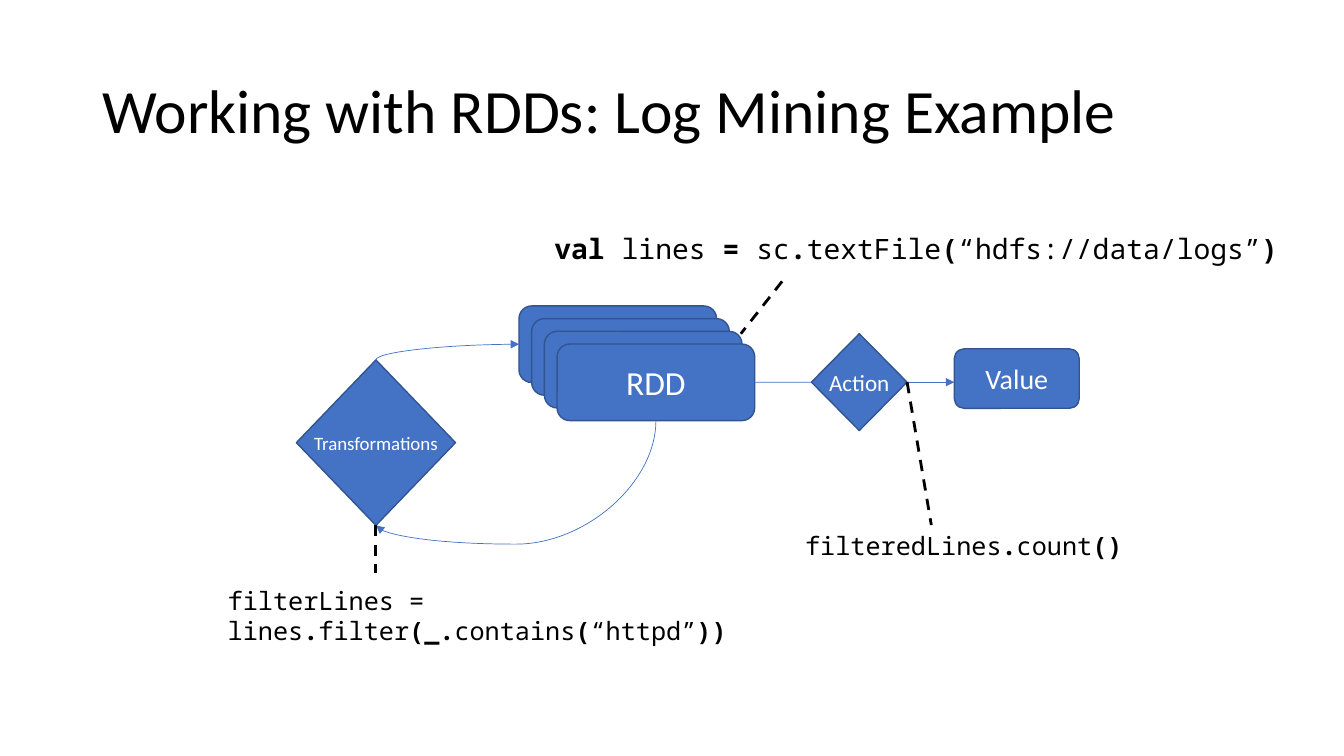
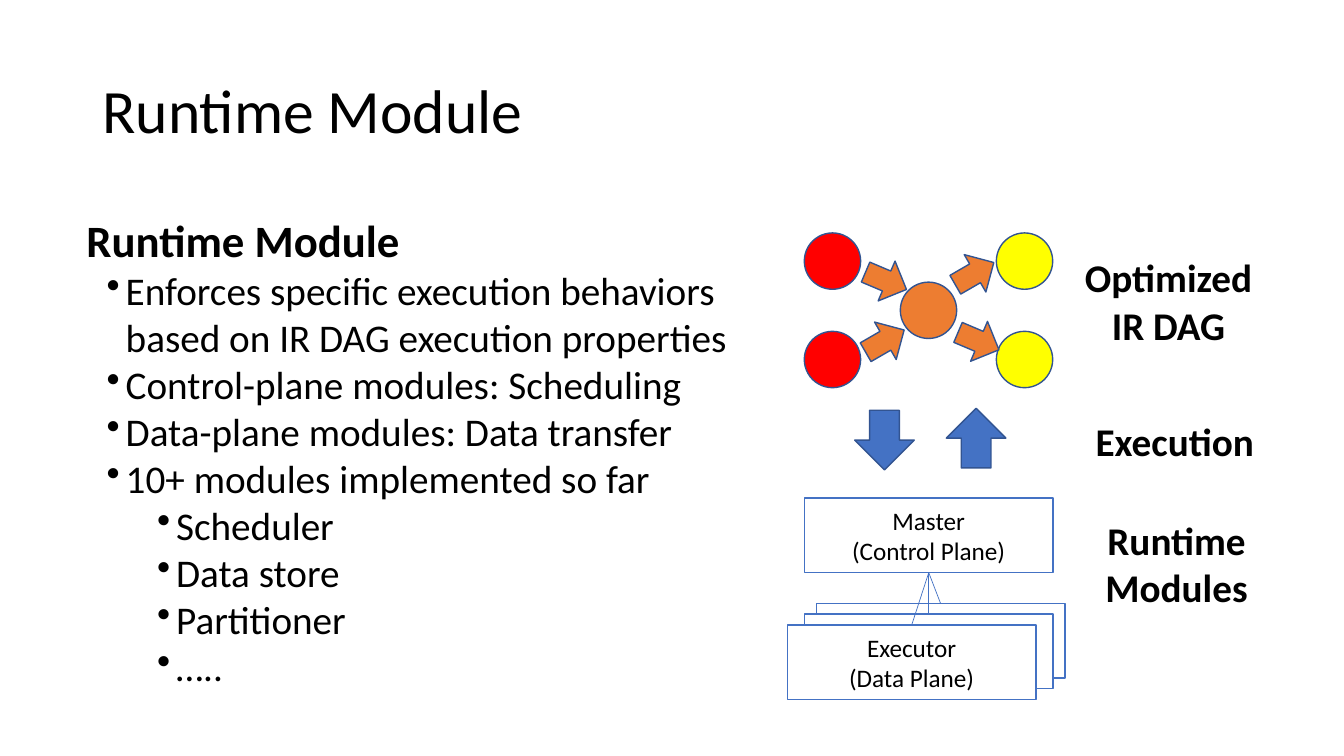
from pptx import Presentation
from pptx.dml.color import RGBColor
from pptx.enum.dml import MSO_LINE
from pptx.enum.shapes import MSO_CONNECTOR as LINK, MSO_SHAPE as SHAPE
from pptx.enum.text import MSO_ANCHOR as ANCHOR, PP_ALIGN as ALIGN
from pptx.oxml.ns import qn
from pptx.util import Cm, Pt
from lxml.etree import SubElement

COLORS = {"blue": "4472C4", "edge": "325491", "red": "FF0000", "orange": "ED7D31",
          "yellow": "FFFF00", "white": "FFFFFF", "black": "000000"}
BODY_FONT, CODE_FONT = "Calibri", "Noto Sans Mono"
TOP, LEFT, BOTTOM, RIGHT = range(4)  # connection sites

# Log mining slide: code is a list of (text, bold) spans
CODE = [
    ((13.72, 5.72, 18.9, 1.12), 20,
     [("val ", True), ("lines ", False), ("= ", True), ("sc", False), (".", True),
      ("textFile", False), ("(", True), ("“hdfs://data/logs”", False), (")", True)]),
    ((20.04, 13.23, 9.07, 1.02), 18,
     [("filteredLines", False), (".", True), ("count", False), ("()", True)]),
    ((5.49, 14.63, 14.25, 1.8), 18,
     [("filterLines = lines", False), (".", True), ("filter", False), ("(_.", True),
      ("contains", False), ("(", True), ("“httpd”", False), ("))", True)]),
]
CALLOUTS = [((19.71, 7.09), (18.67, 8.41)),
            ((22.86, 9.63), (23.47, 13.23)),
            ((9.47, 13.23), (9.47, 14.45))]
STACK_START, STACK_STEP, STACK_COUNT = (13.08, 7.71), 0.32, 4
RDD_SIZE = (4.98, 1.93)

# Runtime slide
FEATURES = ["Enforces specific execution behaviors based on IR DAG execution properties",
            "Control-plane modules: Scheduling",
            "Data-plane modules: Data transfer",
            "10+ modules implemented so far"]
MODULES = ["Scheduler", "Data store", "Partitioner", "….."]
LABELS = [((26.95, 6.27, 5, 2.64), ["Optimized", "IR DAG"]),
          ((26.57, 10.39, 6.07, 1.45), ["Execution"]),
          ((27.15, 12.88, 5, 2.64), ["Runtime", "Modules"])]
DAG_START, DAG_STEP, NODE = (20.27, 5.87), (2.42, 1.24), 1.42
DAG_NODES = [(0, 0, "red"), (0, 2, "red"), (1, 1, "orange"),
             (2, 0, "yellow"), (2, 2, "yellow")]
DAG_ARROWS = [(21.77, 6.53, 23), (24.1, 8.05, 23), (24, 6.35, 330), (21.74, 8.05, 330)]
EXECUTION_ARROWS = [(SHAPE.DOWN_ARROW, 21.54, 10.34), (SHAPE.UP_ARROW, 23.85, 10.29)]
PLANE_SIZE = (6.27, 1.88)
EXECUTORS = [(20.57, 15.21), (20.27, 15.47), (19.84, 15.75)]


def rgb(name):
    return RGBColor.from_string(COLORS[name])


def write(shape, *lines, size=18, bold=False, color="black", font=BODY_FONT,
          align=ALIGN.LEFT, anchor=ANCHOR.TOP, wrap=True, spacing=None,
          level=0, bullet_at=None):
    """Append paragraphs; a line is a string or a list of (text, bold) spans."""
    frame = shape.text_frame
    frame.word_wrap, frame.vertical_anchor = wrap, anchor
    for line in lines:
        para = frame.add_paragraph() if frame.text else frame.paragraphs[0]
        para.alignment, para.level = align, level
        if spacing:
            para.line_spacing = spacing
        if bullet_at is not None:
            props = para._p.get_or_add_pPr()
            props.set("marL", str(Cm(bullet_at)))
            props.set("indent", str(Cm(-0.48)))
            SubElement(props, qn("a:buChar")).set("char", "•")
        for text, strong in [(line, bold)] if isinstance(line, str) else line:
            span = para.add_run()
            span.text = text
            span.font.name, span.font.size, span.font.bold = font, Pt(size), strong
            span.font.color.rgb = rgb(color)


def add_text(page, area, *lines, **style):
    box = page.shapes.add_textbox(*map(Cm, area))
    write(box, *lines, **style)
    return box


def add_figure(page, kind, area, *lines, fill="blue", edge="edge", rotation=0,
               color="white", **style):
    figure = page.shapes.add_shape(kind, *map(Cm, area))
    figure.shadow.inherit = False
    figure.fill.solid()
    figure.fill.fore_color.rgb = rgb(fill)
    figure.line.color.rgb = rgb(edge)
    figure.line.width = Pt(1)
    figure.rotation = rotation
    write(figure, *lines, color=color, align=ALIGN.CENTER, anchor=ANCHOR.MIDDLE, **style)
    return figure


def add_line(page, start=(0, 0), end=(0, 0), kind=LINK.STRAIGHT, color="blue",
             width=0.5, dashed=False, arrow=False):
    line = page.shapes.add_connector(kind, *map(Cm, (*start, *end)))
    line.line.color.rgb = rgb(color)
    line.line.width = Pt(width)
    if dashed:
        line.line.dash_style = MSO_LINE.DASH
    if arrow:
        SubElement(line.line._get_or_add_ln(), qn("a:tailEnd")).set("type", "triangle")
    SubElement(line._element.spPr, qn("a:effectLst"))
    return line


def join(page, source, source_site, target, target_site, **style):
    line = add_line(page, **style)
    line.begin_connect(source, source_site)
    line.end_connect(target, target_site)
    return line


def curve(page, *ends, preset, bend=None):
    """Join two sites with a curve that leaves vertically (a quarter-turned preset)."""
    line = join(page, *ends, kind=LINK.CURVE, arrow=True)
    x, y = line.begin_x, line.begin_y
    across, down = line.end_x - x, line.end_y - y
    width, height = abs(down), abs(across)
    line.left, line.top = x + (across - width) // 2, y + (down - height) // 2
    line.width, line.height = width, height
    frame = line._element.spPr.xfrm
    frame.rot, frame.flipH, frame.flipV = 90, down < 0, across > 0
    geometry = line._element.spPr.find(qn("a:prstGeom"))
    geometry.set("prst", preset)
    if bend:
        guide = SubElement(geometry.find(qn("a:avLst")), qn("a:gd"))
        guide.set("name", "adj1")
        guide.set("fmla", f"val {bend}")


def new_page(deck, title):
    page = deck.slides.add_slide(deck.slide_layouts[6])
    add_text(page, (2.33, 1.02, 29.21, 3.68), title, size=44, spacing=0.9,
             anchor=ANCHOR.MIDDLE)
    return page


def log_mining(deck):
    page = new_page(deck, "Working with RDDs: Log Mining Example")
    stack = []
    for i in range(STACK_COUNT):
        corner = [start + i * STACK_STEP for start in STACK_START]
        stack.append(add_figure(page, SHAPE.ROUNDED_RECTANGLE, (*corner, *RDD_SIZE)))
    back, rdd = stack[0], stack[-1]
    write(rdd, "RDD", size=24, color="white", align=ALIGN.CENTER, anchor=ANCHOR.MIDDLE)
    transform = add_figure(page, SHAPE.DIAMOND, (7.47, 9.07, 4.01, 4.17),
                           "Transformations", size=13.5, wrap=False)
    action = add_figure(page, SHAPE.DIAMOND, (20.45, 8.41, 2.41, 2.44),
                        "Action", size=16.5, wrap=False)
    add_figure(page, SHAPE.ROUNDED_RECTANGLE, (24.05, 8.79, 3.15, 1.5), "Value", size=20)
    join(page, rdd, RIGHT, action, LEFT)
    add_line(page, (22.86, 9.63), (24.05, 9.63), arrow=True)
    curve(page, rdd, BOTTOM, transform, BOTTOM, preset="curvedConnector3", bend=117900)
    curve(page, transform, TOP, back, LEFT, preset="curvedConnector2")
    for area, size, spans in CODE:
        add_text(page, area, spans, size=size, font=CODE_FONT)
    for start, end in CALLOUTS:
        add_line(page, start, end, color="black", width=2, dashed=True)


def runtime_module(deck):
    page = new_page(deck, "Runtime Module")
    body = add_text(page, (1.93, 5.23, 17.25, 12.4), "Runtime Module", size=32, bold=True)
    write(body, *FEATURES, size=28, bullet_at=0.99)
    write(body, *MODULES, size=28, bullet_at=2.26, level=1)
    for area, lines in LABELS:
        add_text(page, area, *lines, size=28, bold=True, align=ALIGN.CENTER)

    for column, row, fill in DAG_NODES:
        corner = [start + n * step
                  for start, n, step in zip(DAG_START, (column, row), DAG_STEP)]
        add_figure(page, SHAPE.OVAL, (*corner, NODE, NODE), fill=fill)
    for x, y, angle in DAG_ARROWS:
        add_figure(page, SHAPE.RIGHT_ARROW, (x, y, 1.12, 1.09), fill="orange",
                   rotation=angle)
    for kind, x, y in EXECUTION_ARROWS:
        add_figure(page, kind, (x, y, 1.5, 1.5))

    plane = {"fill": "white", "edge": "blue", "color": "black"}
    master = add_figure(page, SHAPE.RECTANGLE, (20.27, 12.55, *PLANE_SIZE),
                        "Master", "(Control Plane)", **plane)
    executors = [add_figure(page, SHAPE.RECTANGLE, (*corner, *PLANE_SIZE), **plane)
                 for corner in EXECUTORS]
    write(executors[-1], "Executor", "(Data Plane)", align=ALIGN.CENTER,
          anchor=ANCHOR.MIDDLE)
    for executor in executors:
        join(page, master, BOTTOM, executor, TOP)


def main():
    deck = Presentation()
    deck.slide_width, deck.slide_height = Cm(33.87), Cm(19.05)
    log_mining(deck)
    runtime_module(deck)
    deck.save("out.pptx")


if __name__ == "__main__":
    main()
